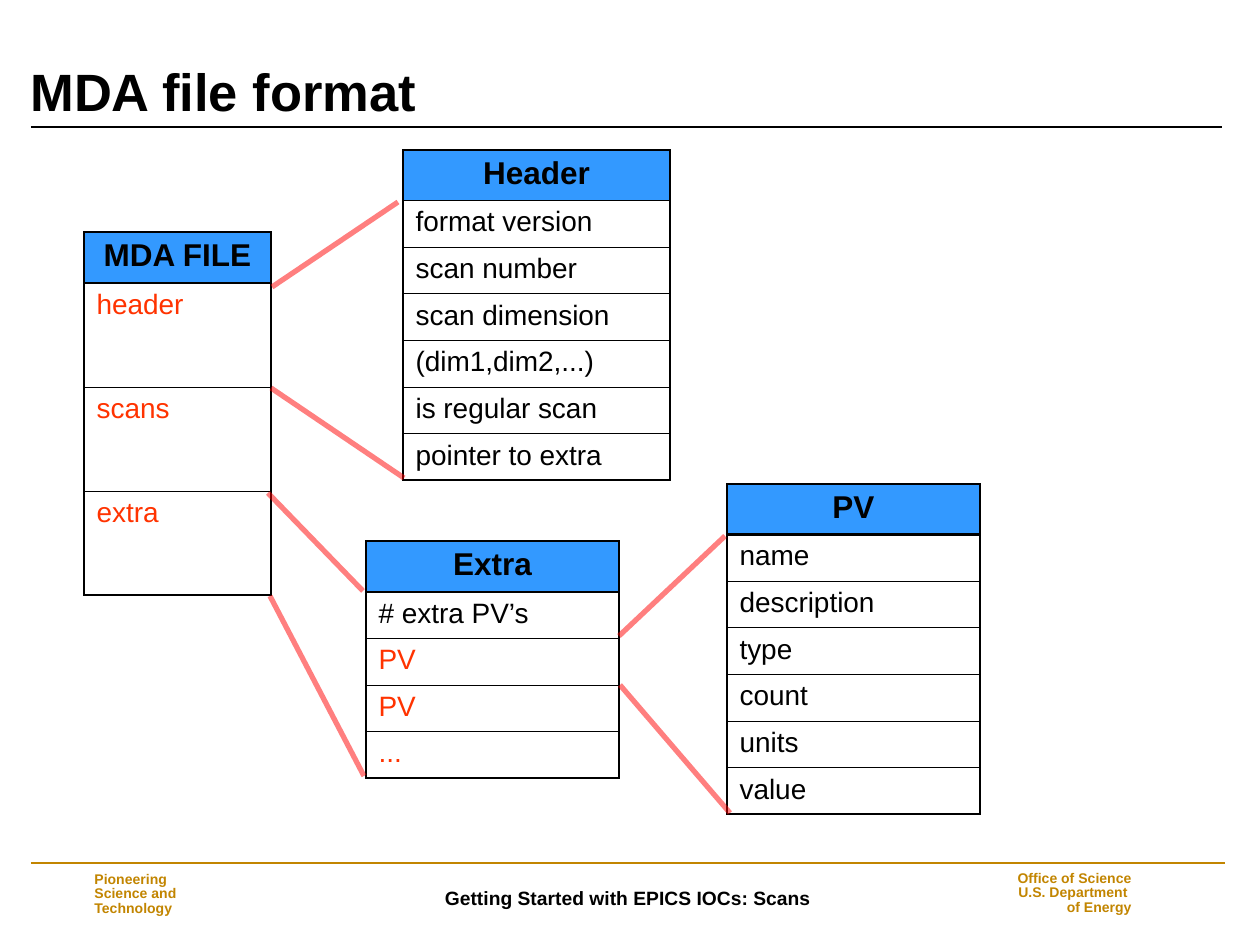
from lxml import etree
from pptx import Presentation, util as u
from pptx.dml.color import RGBColor
from pptx.enum import shapes, text
from pptx.oxml import parse_xml
from pptx.oxml.ns import qn, nsdecls

BLACK, GOLD, RED, BLUE = "000000", "C28500", "FF3300", "3399FF"
LEFT, MID, RIGHT = text.PP_ALIGN.LEFT, text.PP_ALIGN.CENTER, text.PP_ALIGN.RIGHT


def px(n):
    return u.Emu(round(n * 914400 / 126))


def rgb(code):
    return RGBColor.from_string(code)


deck = Presentation()
deck.slide_width, deck.slide_height = px(1260), px(945)
slide = deck.slides.add_slide(deck.slide_layouts[6])

# Title and footer: place, lines, size, colour, align, line spacing, anchor
TOP, BASE = text.MSO_ANCHOR.MIDDLE, text.MSO_ANCHOR.BOTTOM
notes = [
    ((18, 66, 1207, 63), ["MDA file format"], 30, BLACK, LEFT, 0.9, BASE),
    ((255, 868, 746, 60), ["Getting Started with EPICS IOCs: Scans"],
     11, BLACK, MID, 1.0, TOP),
    ((82, 867, 184, 55), ["Pioneering \vScience and\vTechnology"],
     8, GOLD, LEFT, 0.85, TOP),
    ((988, 866, 156, 55),
     ["Office of Science", " U.S. Department ", "of Energy"],
     8, GOLD, RIGHT, 0.85, TOP),
]
for place, lines, size, color, align, gap, anchor in notes:
    frame = slide.shapes.add_textbox(*map(px, place)).text_frame
    frame.word_wrap = True
    frame.vertical_anchor = anchor
    if anchor == BASE:
        frame.margin_top = 0
    frame.text = "\n".join(lines)
    for para in frame.paragraphs:
        para.alignment, para.line_spacing = align, gap
        look = {"name": "Arial", "size": u.Pt(size), "bold": True}
        for key, val in look.items():
            setattr(para.font, key, val)
        para.font.color.rgb = rgb(color)

# Tables: left, top, width, head height, body height, rule under head, rows
tables = [
    (84, 232, 187, 51, 312, 1.47, "MDA FILE",
     ["header", "scans", "extra"], {"header", "scans", "extra"}),
    (403, 150, 267, 50, 280, 0.45, "Header",
     ["format version", "scan number", "scan dimension", "(dim1,dim2,...)",
      "is regular scan", "pointer to extra"], set()),
    (366, 541, 253, 51, 186, 1.47, "Extra",
     ["# extra PV’s", "PV", "PV", "..."], {"PV", "..."}),
    (727, 484, 253, 50, 280, 1.47, "PV",
     ["name", "description", "type", "count", "units", "value"], set()),
]
for left, top, width, head, body, rule, name, rows, linked in tables:
    count = len(rows)
    grid = slide.shapes.add_table(
        count + 1, 1, *map(px, (left, top, width, head + body))).table
    grid.first_row = grid.horz_banding = False
    edges = [1.08, rule] + [0.45] * (count - 1) + [1.08]
    for i, label in enumerate([name] + rows):
        first = i == 0
        grid.rows[i].height = px(head if first else body / count)
        cell = grid.cell(i, 0)
        cell.text = label
        if first:
            cell.fill.solid()
            cell.fill.fore_color.rgb = rgb(BLUE)
        else:
            cell.fill.background()
        para = cell.text_frame.paragraphs[0]
        para.alignment = MID if first else LEFT
        look = {"name": "Arial", "size": u.Pt(18 if first else 16),
                "bold": first}
        for key, val in look.items():
            setattr(para.font, key, val)
        hot = not first and label in linked
        para.font.color.rgb = rgb(RED if hot else BLACK)
        sides = {"L": 1.08, "R": 1.08, "T": edges[i], "B": edges[i + 1]}
        props = cell._tc.get_or_add_tcPr()
        for spot, (side, wide) in enumerate(sides.items()):
            props.insert(spot, parse_xml(
                f'<a:ln{side} {nsdecls("a")} w="{u.Pt(wide)}"><a:solidFill>'
                f'<a:srgbClr val="{BLACK}"/></a:solidFill></a:ln{side}>'))

# Rules, then the lines that open each entry into its table
links = [
    (272, 287, 398, 202), (271, 388, 404, 478), (268, 493, 363, 591),
    (270, 596, 364, 776), (619, 636, 725, 536), (620, 685, 730, 813),
]
lines = [((31, 863, 1225, 863), GOLD, 1, None),
         ((31, 127, 1222, 127), BLACK, 1.5, None)]
lines += [(ends, "FF0000", 3, 50) for ends in links]
for ends, color, wide, alpha in lines:
    line = slide.shapes.add_connector(
        shapes.MSO_CONNECTOR.STRAIGHT, *map(px, ends))
    line.line.color.rgb = rgb(color)
    line.line.width = u.Pt(wide)
    etree.SubElement(line._element.spPr, qn("a:effectLst"))
    if alpha:
        tint = line._element.spPr.find(".//" + qn("a:srgbClr"))
        etree.SubElement(tint, qn("a:alpha"), val=str(alpha * 1000))

deck.save("out.pptx")
